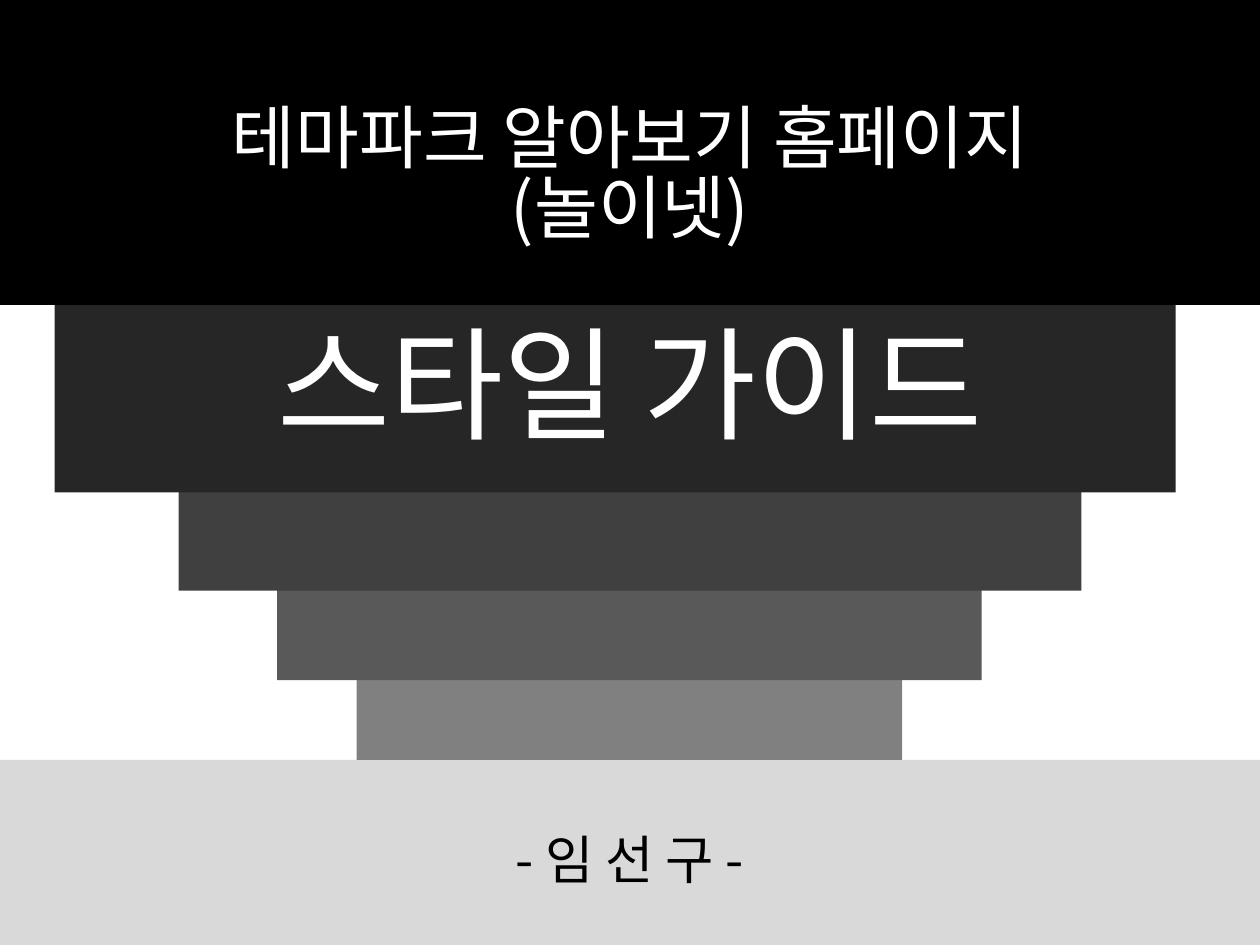
from lxml import etree
from pptx import Presentation
from pptx.dml.color import RGBColor
from pptx.enum.shapes import MSO_SHAPE
from pptx.enum.text import MSO_ANCHOR, MSO_AUTO_SIZE, PP_ALIGN
from pptx.oxml.ns import qn
from pptx.util import Cm, Pt

FONT = "Noto Sans CJK KR"
BLACK = RGBColor(0x00, 0x00, 0x00)
WHITE = RGBColor(0xFF, 0xFF, 0xFF)
FOOTER_GRAY = RGBColor(0xD9, 0xD9, 0xD9)
STEPS = [
    (7.19, 12.73, 11.0, 2.59, RGBColor(0x80, 0x80, 0x80)),
    (5.59, 10.92, 14.2, 2.79, RGBColor(0x59, 0x59, 0x59)),
    (3.6, 7.92, 18.2, 3.99, RGBColor(0x40, 0x40, 0x40)),
    (1.1, 5.33, 22.6, 4.6, RGBColor(0x26, 0x26, 0x26)),
]


def add_bar(slide, left, top, width, height, color):
    sp = slide.shapes.add_shape(
        MSO_SHAPE.RECTANGLE, Cm(left), Cm(top), Cm(width), Cm(height))
    sp.shadow.inherit = False
    sp.fill.solid()
    sp.fill.fore_color.rgb = color
    sp.line.fill.background()
    return sp


def place_text(sp, left, top, width, height, anchor):
    sp.left, sp.top, sp.width, sp.height = Cm(left), Cm(top), Cm(width), Cm(height)
    tf = sp.text_frame
    tf.word_wrap = True
    tf.auto_size = MSO_AUTO_SIZE.NONE
    tf.vertical_anchor = anchor
    return tf


def format_paragraph(p, size, color):
    p.alignment = PP_ALIGN.CENTER
    p.font.name = FONT
    p.font.size = Pt(size)
    p.font.color.rgb = color
    latin = p.font._element.find(qn("a:latin"))
    ea = etree.Element(qn("a:ea"), typeface=FONT)
    latin.addnext(ea)


def add_steps(slide, left, top):
    for x, y, width, height, color in STEPS:
        add_bar(slide, left + x, top + y, width, height, color)


def add_header(slide, left, top, width, height):
    band = add_bar(slide, left, top, width, height, BLACK)
    band.line.color.rgb = BLACK
    band.line.width = Pt(2)
    tf = place_text(slide.shapes.title, left + 1.9, top + 3.63,
                    width - 3.8, 4.09, MSO_ANCHOR.MIDDLE)
    tf.text = "테마파크 알아보기 홈페이지\v(놀이넷)"
    format_paragraph(tf.paragraphs[0], 39.6, WHITE)
    p = tf.add_paragraph()
    p.text = "스타일 가이드"
    format_paragraph(p, 70.2, WHITE)
    p.space_before = Pt(48)
    for p in tf.paragraphs:
        p.line_spacing = 0.84


def add_footer(slide, left, top, width, height):
    add_bar(slide, left, top, width, height, FOOTER_GRAY)
    tf = place_text(slide.placeholders[1], left + 3.81, top + 1.22,
                    width - 7.62, 1.6, MSO_ANCHOR.TOP)
    tf.text = "- 임 선 구 -"
    format_paragraph(tf.paragraphs[0], 30, BLACK)


def bring_text_to_front(slide):
    tree = slide.shapes._spTree
    for sp in list(slide.placeholders):
        tree.append(sp._element)


def main():
    prs = Presentation()
    prs.slide_width, prs.slide_height = Cm(25.4), Cm(19.05)
    slide = prs.slides.add_slide(prs.slide_layouts[0])
    add_footer(slide, 0, 15.32, 25.4, 3.73)
    add_steps(slide, 0, 0)
    add_header(slide, 0, 0, 25.4, 6.12)
    bring_text_to_front(slide)
    prs.save("out.pptx")


if __name__ == "__main__":
    main()
